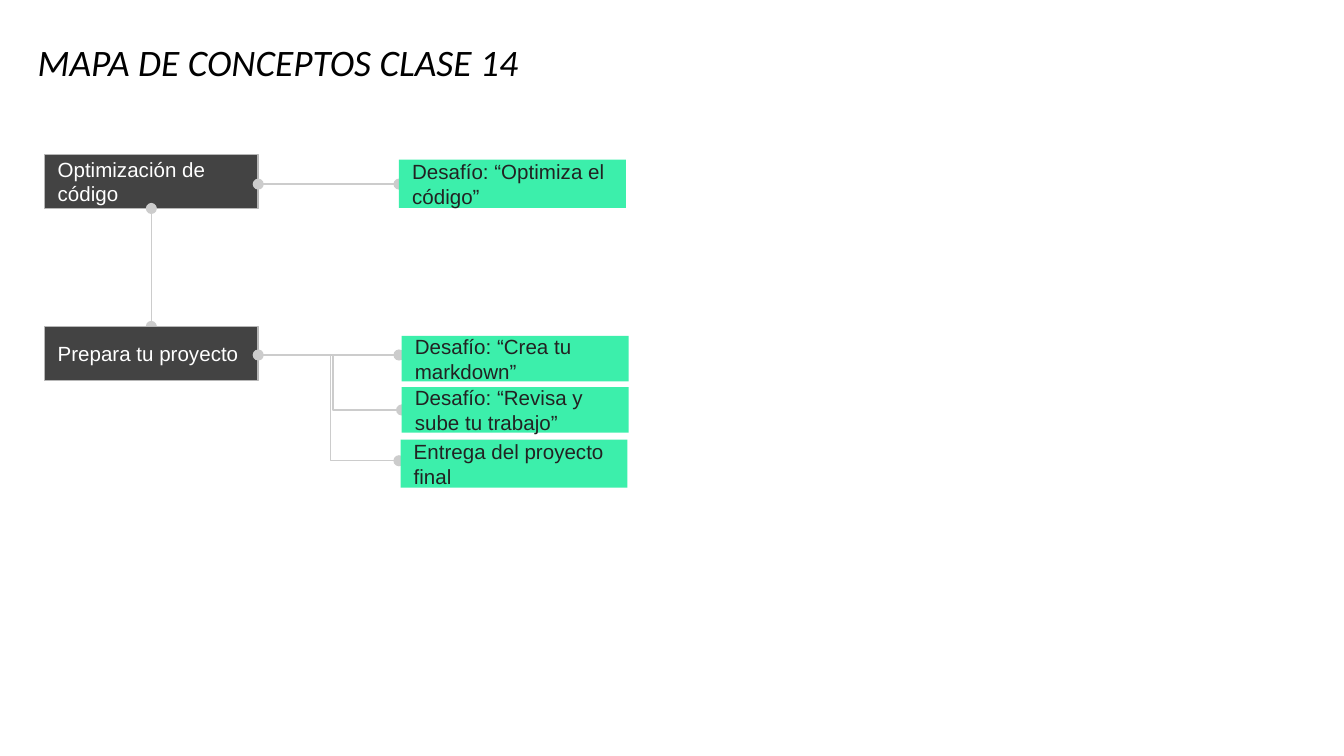
from pptx import Presentation
from pptx.dml.color import RGBColor
from pptx.enum.shapes import MSO_CONNECTOR, MSO_SHAPE
from pptx.enum.text import MSO_ANCHOR, MSO_AUTO_SIZE, PP_ALIGN
from pptx.oxml.ns import qn
from pptx.util import Cm, Pt
from lxml.etree import SubElement

BLACK = RGBColor(0x00, 0x00, 0x00)
WHITE = RGBColor(0xFF, 0xFF, 0xFF)
INK = RGBColor(0x22, 0x22, 0x22)
CHARCOAL = RGBColor(0x43, 0x43, 0x43)
BORDER_GRAY = RGBColor(0xB7, 0xB7, 0xB7)
LINK_GRAY = RGBColor(0xCC, 0xCC, 0xCC)
MINT = RGBColor(0x3C, 0xEF, 0xAB)

INSET = Cm(0.25)
TOPIC_LEFT, TOPIC_WIDTH, TOPIC_HEIGHT = 0.84, 4.04, 1.02
TOPIC_RIGHT = TOPIC_LEFT + TOPIC_WIDTH
TOPIC_CENTER = TOPIC_LEFT + TOPIC_WIDTH / 2
TASK_WIDTH = 4.29

# Topic name and top
TOPICS = [("Optimización de código", 2.92), ("Prepara tu proyecto", 6.17)]

# Task text, (left, top, height), link start, link end, bent link
TASKS = [
    ("Desafío: “Optimiza el código”", (7.54, 3.02, 0.91),
     (TOPIC_RIGHT, 3.48), (7.54, 3.48), False),
    ("Desafío: “Crea tu markdown”", (7.59, 6.35, 0.86),
     (TOPIC_RIGHT, 6.71), (7.54, 6.71), False),
    ("Desafío: “Revisa y sube tu trabajo”", (7.59, 7.32, 0.86),
     (5.0, 6.71), (7.59, 7.75), True),
    ("Entrega del proyecto final", (7.57, 8.31, 0.91),
     (4.95, 6.71), (7.54, 8.71), True),
]


def write_text(frame, text, font_name, size, color, anchor, italic=None):
    frame.word_wrap = True
    frame.auto_size = MSO_AUTO_SIZE.NONE
    frame.vertical_anchor = anchor
    frame.margin_left = frame.margin_right = INSET
    frame.margin_top = frame.margin_bottom = INSET
    paragraph = frame.paragraphs[0]
    paragraph.alignment = PP_ALIGN.LEFT
    run = paragraph.add_run()
    run.text = text
    run.font.name = font_name
    run.font.size = Pt(size)
    run.font.color.rgb = color
    run.font.italic = italic


def add_title(slide, text):
    title = slide.shapes.title
    title.left, title.top = Cm(0.46), Cm(0.66)
    title.width, title.height = Cm(20.98), Cm(1.17)
    write_text(title.text_frame, text, "Calibri", 20, BLACK,
               MSO_ANCHOR.BOTTOM, italic=True)


def add_box(slide, text, left, top, width, height, fill, ink, border=None):
    box = slide.shapes.add_shape(MSO_SHAPE.RECTANGLE, Cm(left), Cm(top),
                                 Cm(width), Cm(height))
    box.shadow.inherit = False
    box.fill.solid()
    box.fill.fore_color.rgb = fill
    if border is None:
        box.line.fill.background()
    else:
        box.line.color.rgb = border
        box.line.width = Pt(0.75)
    write_text(box.text_frame, text, "Arial", 11, ink, MSO_ANCHOR.MIDDLE)


def add_link(slide, start, end, bent=False):
    """Straight links have a dot at both ends, bent ones only at the end."""
    kind = MSO_CONNECTOR.ELBOW if bent else MSO_CONNECTOR.STRAIGHT
    link = slide.shapes.add_connector(kind, Cm(start[0]), Cm(start[1]),
                                      Cm(end[0]), Cm(end[1]))
    link.line.color.rgb = LINK_GRAY
    link.line.width = Pt(0.75)
    outline = link.line._get_or_add_ln()
    for tag in ["a:tailEnd"] if bent else ["a:headEnd", "a:tailEnd"]:
        SubElement(outline, qn(tag), type="oval", w="med", len="med")
    SubElement(link._element.spPr, qn("a:effectLst"))


def add_topic(slide, name, top):
    add_box(slide, name, TOPIC_LEFT, top, TOPIC_WIDTH, TOPIC_HEIGHT,
            CHARCOAL, WHITE, BORDER_GRAY)


def main():
    presentation = Presentation()
    presentation.slide_width = Cm(25.4)
    presentation.slide_height = Cm(14.29)
    slide = presentation.slides.add_slide(presentation.slide_layouts[5])
    add_title(slide, "MAPA DE CONCEPTOS CLASE 14")

    # Topics, joined from top to bottom
    (first, first_top), (second, second_top) = TOPICS
    add_topic(slide, first, first_top)
    add_link(slide, (TOPIC_CENTER, first_top + TOPIC_HEIGHT),
             (TOPIC_CENTER, second_top))
    add_topic(slide, second, second_top)

    # Tasks, each in front of its link
    for text, (left, top, height), start, end, bent in TASKS:
        add_link(slide, start, end, bent)
        add_box(slide, text, left, top, TASK_WIDTH, height, MINT, INK)

    presentation.save("out.pptx")


if __name__ == "__main__":
    main()
